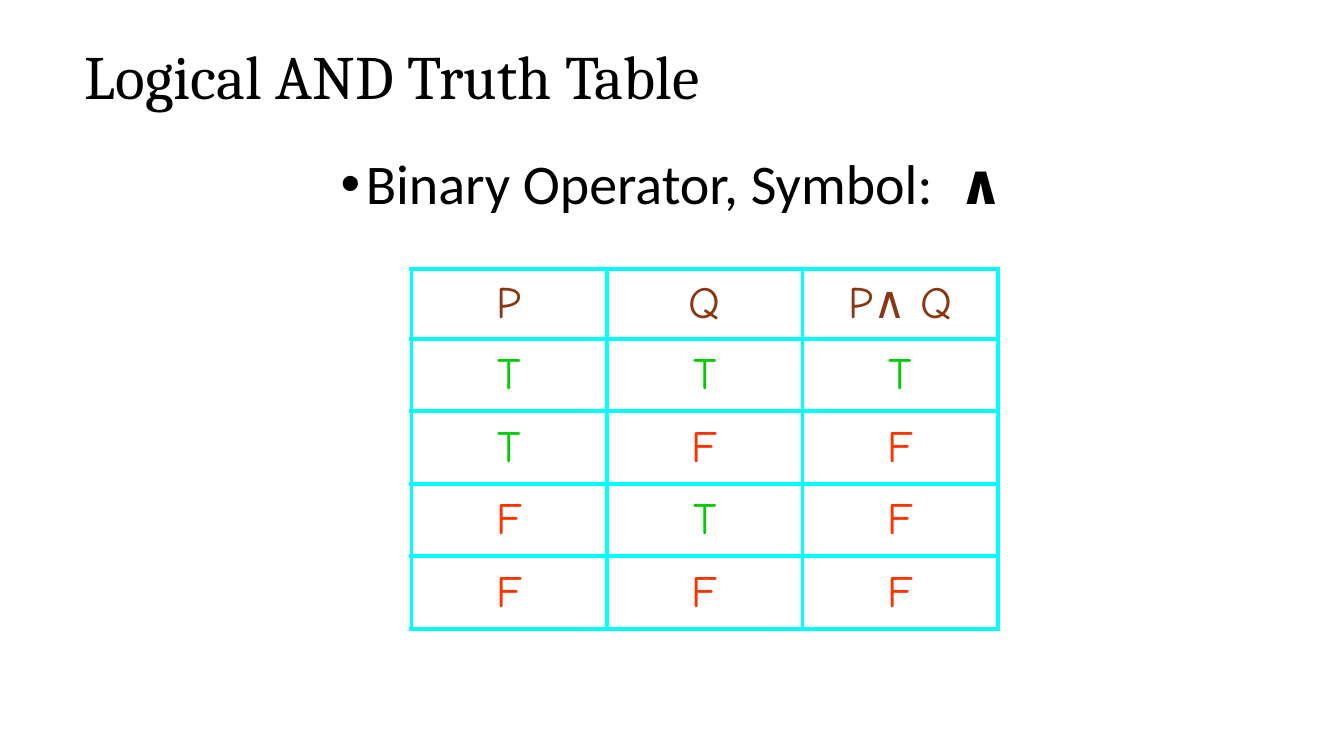
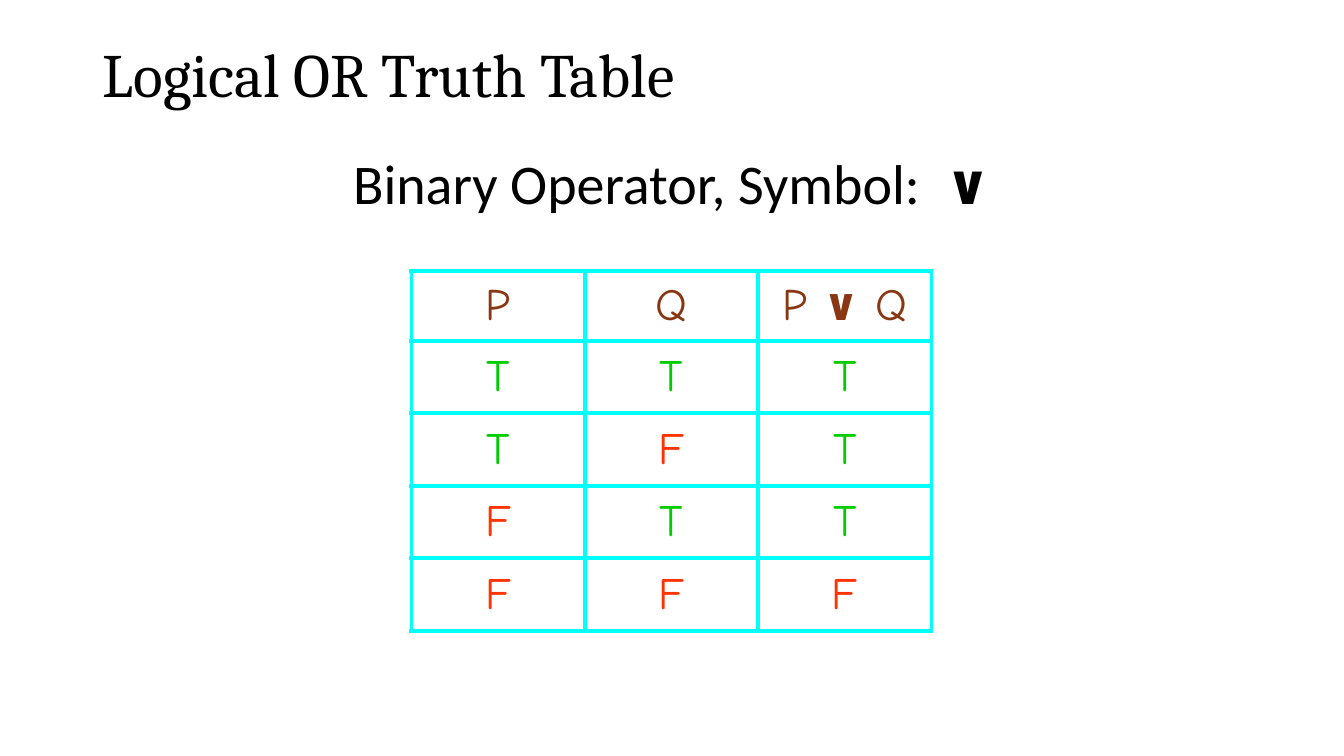
import itertools

import pptx
import pptx.dml.color
import pptx.enum.text
import pptx.oxml
import pptx.oxml.ns
import pptx.util

Inches, Pt = pptx.util.Inches, pptx.util.Pt
ALIGN = pptx.enum.text.PP_ALIGN
MIDDLE = pptx.enum.text.MSO_ANCHOR.MIDDLE
NS = pptx.oxml.ns.nsdecls("a")

COLORS = {
    "text": "000000",
    "header": "893713",
    "T": "00CC00",
    "F": "FF3300",
    "grid": "00FFFF",
}
ROW_HEIGHTS = [0.69] + [0.72] * 4
TABLE_LEFT = 4.08

SLIDES = [
    {
        "title": "Logical AND Truth Table", "title_at": (0.74, 0.33),
        "symbol": "∧", "bullet": True, "operator": all,
        "result": [("P∧ Q", False)],
        "table_top": 2.67, "column": 1.94,
    },
    {
        "title": "Logical OR Truth Table", "title_at": (0.92, 0.31),
        "symbol": "∨", "bullet": False, "operator": any,
        "result": [("P ", False), ("∨ ", True), ("Q", False)],
        "table_top": 2.69, "column": 1.72,
    },
]


def add_runs(p, pieces, font, size, color):
    """Append (text, bold) pieces to a paragraph in one font."""
    for text, bold in pieces:
        r = p.add_run()
        r.text = text
        r.font.name, r.font.size, r.font.bold = font, Pt(size), bold
        r.font.color.rgb = pptx.dml.color.RGBColor.from_string(COLORS[color])


def set_borders(cell, color, width):
    tcPr = cell._tc.get_or_add_tcPr()
    for side in ("lnL", "lnR", "lnT", "lnB"):
        tcPr.append(pptx.oxml.parse_xml(
            f'<a:{side} {NS} w="{Pt(width)}"><a:solidFill>'
            f'<a:srgbClr val="{color}"/></a:solidFill></a:{side}>'))


prs = pptx.Presentation()
prs.slide_width, prs.slide_height = Inches(13.33), Inches(7.5)

for data in SLIDES:
    s = prs.slides.add_slide(prs.slide_layouts[5])

    # Title
    sp = s.shapes.title
    sp.left, sp.top = (Inches(v) for v in data["title_at"])
    sp.width, sp.height = Inches(11.5), Inches(0.92)
    tf = sp.text_frame
    tf.vertical_anchor = MIDDLE
    tf.auto_size = pptx.enum.text.MSO_AUTO_SIZE.NONE
    p = tf.paragraphs[0]
    p.alignment, p.line_spacing = ALIGN.LEFT, 0.9
    add_runs(p, [(data["title"], False)], "Cambria", 44, "text")

    # Operator line
    sp = s.shapes.add_textbox(Inches(2.25), Inches(1.5), Inches(8.83), Inches(0.92))
    tf = sp.text_frame
    tf.word_wrap = True
    p = tf.paragraphs[0]
    p.alignment, p.line_spacing = ALIGN.CENTER, 0.9
    if data["bullet"]:
        pPr = p._p.get_or_add_pPr()
        pPr.set("marL", str(Inches(0.25)))
        pPr.set("indent", str(Inches(-0.25)))
        pPr.append(pptx.oxml.parse_xml(f'<a:buFont {NS} typeface="Arial"/>'))
        pPr.append(pptx.oxml.parse_xml(f'<a:buChar {NS} char="•"/>'))
    add_runs(p, [("Binary Operator, Symbol:  ", False), (data["symbol"], True)],
             "Calibri", 40, "text")

    # Truth table
    rows = [[[("P", False)], [("Q", False)], data["result"]]]
    for inputs in itertools.product((True, False), repeat=2):
        values = (*inputs, data["operator"](inputs))
        rows.append([[("T" if value else "F", False)] for value in values])

    table = s.shapes.add_table(
        len(rows), 3, Inches(TABLE_LEFT), Inches(data["table_top"]),
        Inches(3 * data["column"]), Inches(sum(ROW_HEIGHTS))).table
    table.first_row = table.horz_banding = False
    for column in table.columns:
        column.width = Inches(data["column"])
    for i, row in enumerate(rows):
        table.rows[i].height = Inches(ROW_HEIGHTS[i])
        for j, pieces in enumerate(row):
            cell = table.cell(i, j)
            set_borders(cell, COLORS["grid"], 3)
            cell.fill.background()
            cell.vertical_anchor = MIDDLE
            p = cell.text_frame.paragraphs[0]
            p.alignment = ALIGN.CENTER
            color = pieces[0][0] if i else "header"
            add_runs(p, pieces, "Comic Neue", 32, color)

prs.save("out.pptx")
